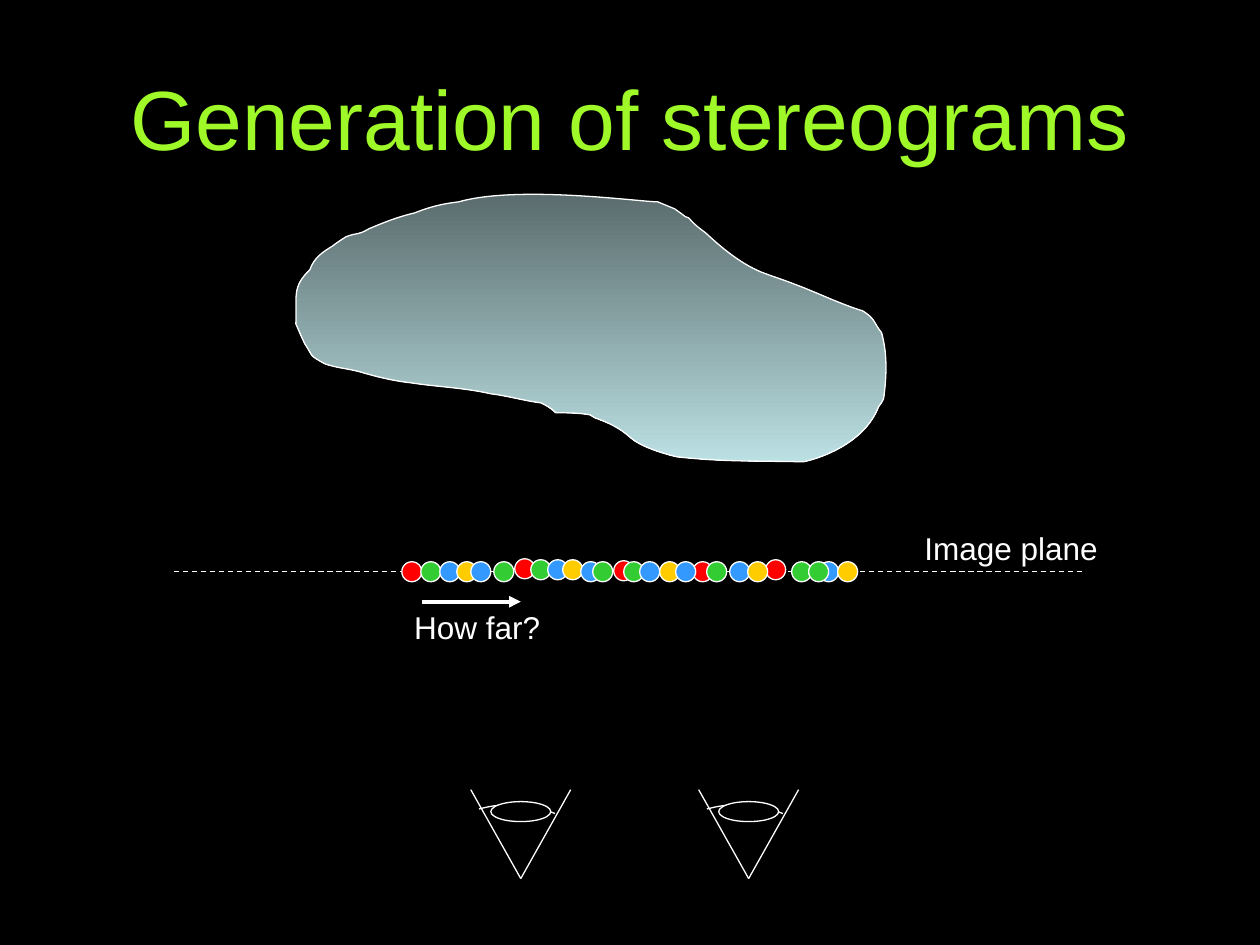
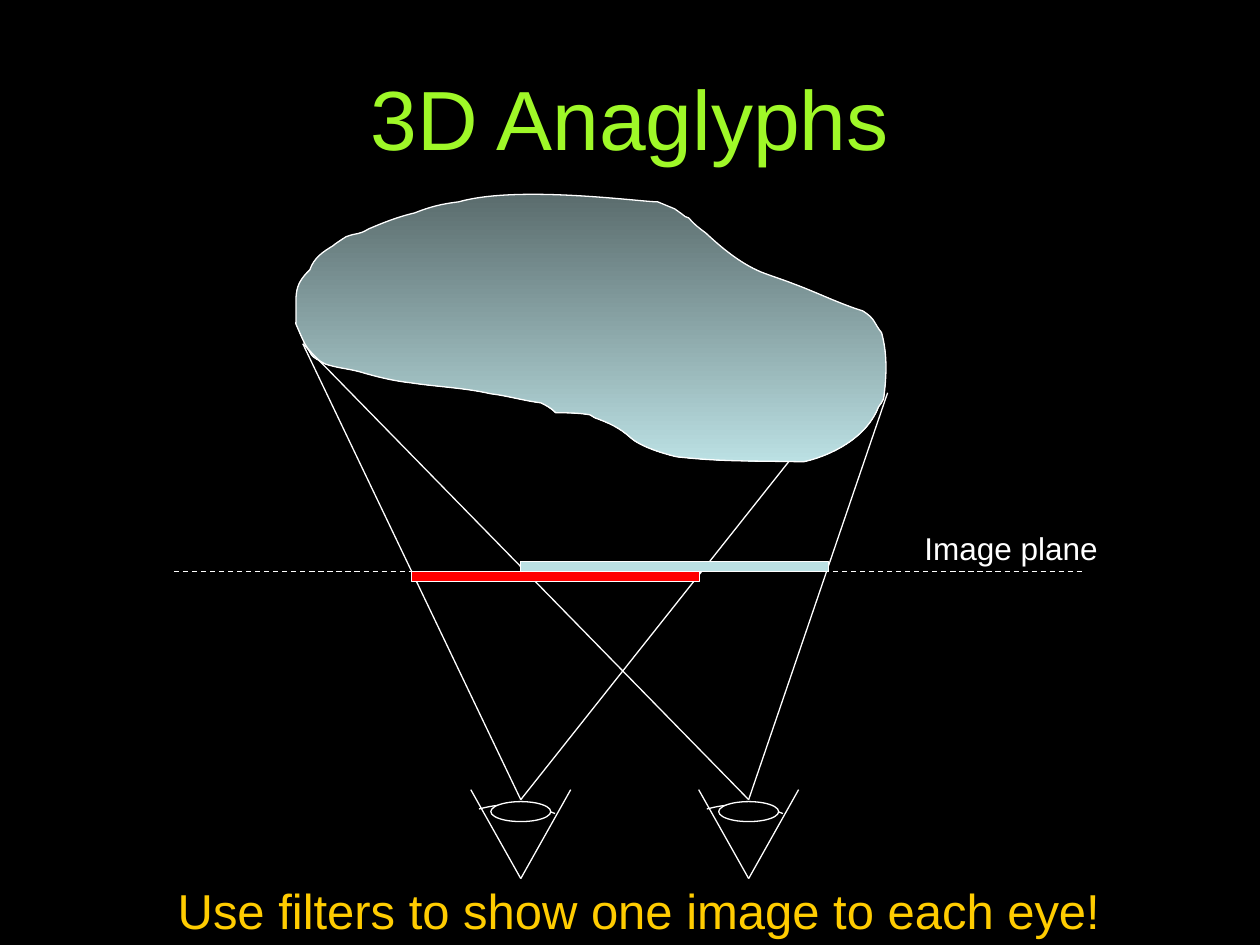
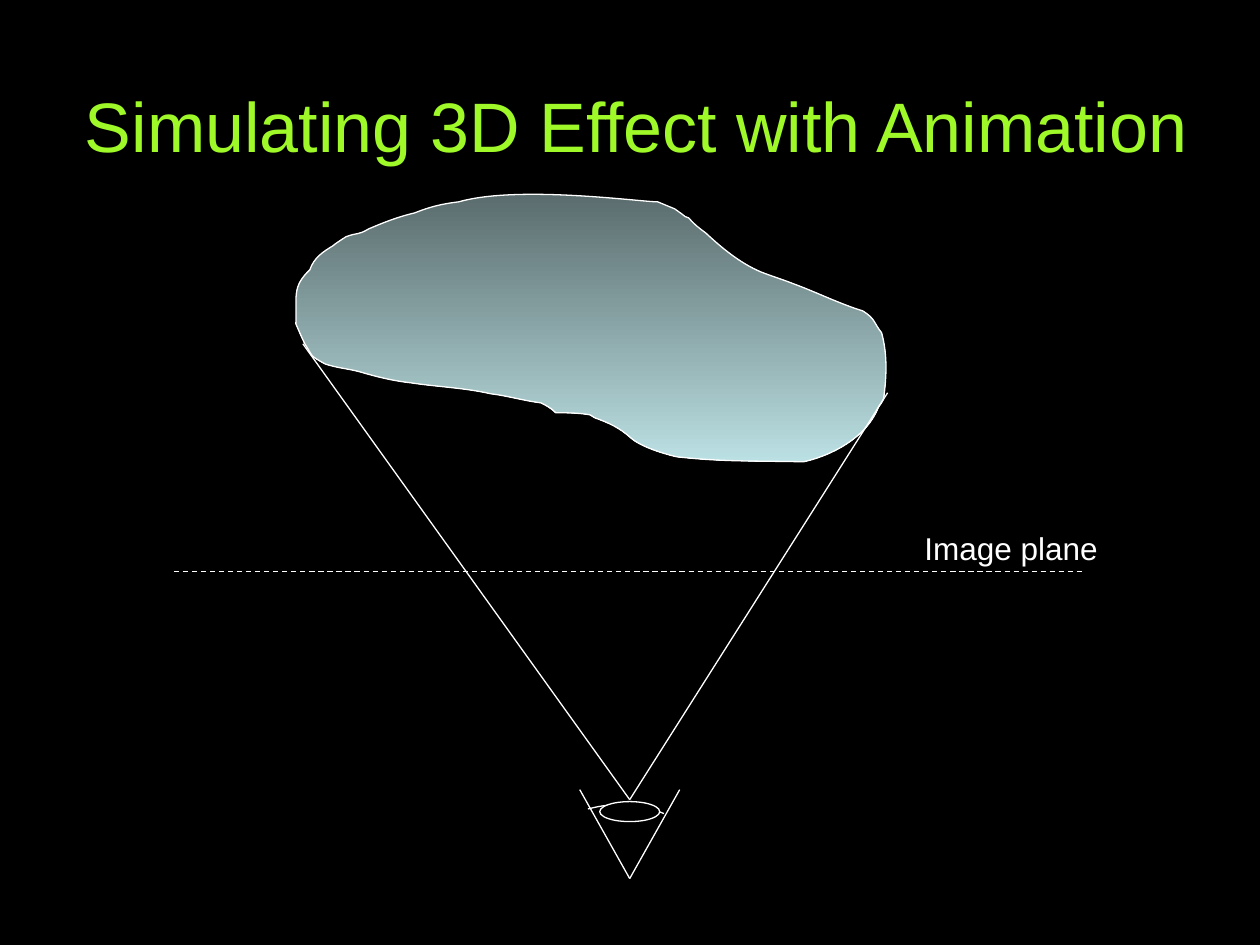
from copy import deepcopy

from lxml import etree
from pptx import Presentation
from pptx import util as u
from pptx.dml.color import RGBColor
from pptx.enum import dml, shapes, text
from pptx.oxml import ns

SCALE = 7254  # EMU per px
FONT = "Arial"
COLOURS = {
    "background": "000000",
    "title": "9FF828",
    "white": "FFFFFF",
    "red": "FF0000",
    "green": "33CC33",
    "blue": "3399FF",
    "gold": "FFCC00",
    "shade": "576869",
    "ice": "BBE0E3",
}

PLANE_Y = 572
EYE_TOP = 790
LEFT_EYE, MIDDLE_EYE, RIGHT_EYE = 521, 630, 749  # centres
OBJECT_LEFT_EDGE, OBJECT_RIGHT_EDGE, OBJECT_BOTTOM = (303, 344), (888, 393), (789, 462)

# Bezier chains: a start point, then two controls and an end point per curve.
OBJECT_OUTLINE = [
    (251, 213),
    (234, 211), (218, 206), (201, 204),
    (175, 198), (147, 197), (121, 193),
    (103, 191), (87, 187), (70, 182),
    (59, 179), (46, 178), (35, 174),
    (19, 165), (24, 168), (15, 154),
    (12, 148), (9, 141), (6, 134),
    (7, 106), (2, 97), (20, 80),
    (24, 68), (33, 62), (43, 56),
    (45, 54), (53, 49), (56, 47),
    (69, 42), (67, 46), (79, 39),
    (93, 33), (108, 27), (125, 23),
    (140, 17), (152, 14), (169, 12),
    (228, -5), (351, 12), (368, 12),
    (373, 14), (380, 17), (385, 19),
    (388, 20), (389, 23), (392, 24),
    (394, 27), (397, 27), (399, 28),
    (404, 34), (409, 38), (416, 43),
    (432, 58), (450, 73), (471, 82),
    (481, 86), (494, 90), (504, 94),
    (526, 102), (550, 114), (573, 121),
    (586, 129), (584, 133), (592, 143),
    (598, 165), (597, 187), (594, 209),
    (593, 212), (591, 214), (589, 217),
    (578, 246), (545, 265), (514, 272),
    (461, 271), (432, 272), (387, 267),
    (374, 264), (351, 257), (341, 248),
    (330, 238), (319, 233), (305, 228),
    (303, 227), (301, 225), (300, 225),
    (288, 223), (277, 223), (266, 223),
    (261, 218), (257, 216), (251, 213),
]
EYE_ARC = [(0, 0), (2, 0), (4, 0), (6, 0), (29, 0), (53, 8), (73, 22)]
EYE_CORNER = (5, 146)

# Colour, then (offset along the strip, lift above it) of each dot, back to front.
DOTS = [
    ("red", [(0, 0), (364, 2), (212, 1), (291, 0), (113, 3)]),
    ("green", [(222, 0), (305, 0), (390, 0), (19, 0), (129, 2)]),
    ("blue", [(38, 0), (146, 2), (238, 0), (328, 0), (417, 0)]),
    ("gold", [(55, 0), (161, 2), (258, 0), (346, 0), (436, 0)]),
    ("blue", [(69, 0), (179, 0), (274, 0)]),
    ("green", [(92, 0), (191, 0), (407, 0)]),
]


def px(*lengths):
    return [u.Emu(length * SCALE) for length in lengths]


def colour(name):
    return RGBColor.from_string(COLOURS[name])


def outline(shape, width=0.75):
    shape.line.color.rgb = colour("white")
    shape.line.width = u.Pt(width)


def add_line(parent, start, end, width=0.75):
    line = parent.shapes.add_connector(shapes.MSO_CONNECTOR.STRAIGHT, *px(*start, *end))
    outline(line, width)
    etree.SubElement(line._element.spPr, ns.qn("a:effectLst"))
    return line


def add_filled(parent, preset, box, fill):
    shape = parent.shapes.add_shape(preset, *px(*box))
    shape.shadow.inherit = False
    shape.fill.solid()
    shape.fill.fore_color.rgb = colour(fill)
    outline(shape)


def add_curve(parent, left, top, chain, corners=()):
    """Draw a closed outline: a Bezier chain, then straight lines to the corners."""
    points = [px(*point) for point in (*chain, *corners)]
    builder = parent.shapes.build_freeform(*points[0])
    builder.add_line_segments(points[1:], close=True)
    shape = builder.convert_to_shape(*px(left, top))
    shape.shadow.inherit = False
    outline(shape)
    segments = list(shape._element.iter(ns.qn("a:lnTo")))[:len(chain) - 1]
    for first in range(0, len(segments), 3):
        curve = etree.Element(ns.qn("a:cubicBezTo"))
        segments[first].addprevious(curve)
        for segment in segments[first:first + 3]:
            curve.append(segment[0])
            segment.getparent().remove(segment)
    return shape


def write(shape, words, size, fill, align, anchor, wrap=True):
    frame = shape.text_frame
    frame.auto_size = text.MSO_AUTO_SIZE.NONE
    frame.word_wrap = wrap
    frame.vertical_anchor = anchor
    paragraph = frame.paragraphs[0]
    paragraph.alignment = align
    run = paragraph.add_run()
    run.text = words
    run.font.name = FONT
    run.font.size = u.Pt(size)
    run.font.color.rgb = colour(fill)


def add_label(slide, box, words, size=18, fill="white", align=text.PP_ALIGN.CENTER,
              anchor=text.MSO_ANCHOR.TOP, wrap=True):
    write(slide.shapes.add_textbox(*px(*box)), words, size, fill, align, anchor, wrap)


def add_title(slide, words, box, size):
    title = slide.shapes.title
    title.left, title.top, title.width, title.height = px(*box)
    write(title, words, size, "title", text.PP_ALIGN.CENTER, text.MSO_ANCHOR.MIDDLE)


def add_object(slide, left, top):
    shape = add_curve(slide, left, top, OBJECT_OUTLINE)
    shape.fill.gradient()
    shape.fill.gradient_angle = 270
    for stop, name in zip(shape.fill.gradient_stops, ("shade", "ice")):
        stop.color.rgb = colour(name)


def add_image_plane(slide, left, y, width):
    line = add_line(slide, (left, y), (left + width, y))
    line.line.dash_style = dml.MSO_LINE.DASH
    add_label(slide, (left + 694, y - 49, 287, 50), "Image plane")


def add_eyelid(parent, left, top):
    """Add a tilted sector of which only the arc is stroked."""
    shape = add_curve(parent, left, top, EYE_ARC, [EYE_CORNER])
    shape.fill.background()
    shape.rotation = 346.7
    sector = next(shape._element.iter(ns.qn("a:path")))
    arc = deepcopy(sector)
    for tag in ("a:lnTo", "a:close"):
        for segment in arc.findall(ns.qn(tag)):
            arc.remove(segment)
    arc.set("fill", "none")
    sector.set("stroke", "0")
    sector.addprevious(arc)


def add_eye(slide, centre, top):
    group = slide.shapes.add_group_shape()
    left = centre - 50
    for side in (left, left + 100):
        add_line(group, (side, top), (centre, top + 89))
    add_eyelid(group, left + 24, top + 9)
    add_filled(group, shapes.MSO_SHAPE.OVAL, (left + 20, top + 12, 60, 20), "background")


def add_rays(slide, eye_centre, *targets):
    for target in targets:
        add_line(slide, (eye_centre, EYE_TOP + 10), target)


def add_dots(slide, left, top, size=20):
    for name, places in DOTS:
        for offset, lift in places:
            add_filled(slide, shapes.MSO_SHAPE.OVAL,
                       (left + offset, top - lift, size, size), name)


def add_distance_arrow(slide, left, y, width):
    arrow = add_line(slide, (left, y), (left + width, y), 2.25)
    etree.SubElement(arrow.line._get_or_add_ln(), ns.qn("a:tailEnd"), type="triangle")
    add_label(slide, (left - 20, y, 151, 50), "How far?",
              align=text.PP_ALIGN.LEFT, wrap=False)


def add_scene(presentation, title, eyes, title_box=(63, 9, 1134, 215), title_size=48):
    """Add a slide with the title, object, image plane and eyes."""
    slide = presentation.slides.add_slide(presentation.slide_layouts[5])
    add_title(slide, title, title_box, title_size)
    add_object(slide, 290, 190)
    add_image_plane(slide, 174, PLANE_Y, 912)
    for centre in eyes:
        add_eye(slide, centre, EYE_TOP)
    return slide


def add_stereogram_slide(presentation):
    slide = add_scene(presentation, "Generation of stereograms", (RIGHT_EYE, LEFT_EYE))
    add_dots(slide, 402, PLANE_Y - 10)
    add_distance_arrow(slide, 422, PLANE_Y + 30, 99)


def add_anaglyph_slide(presentation):
    slide = add_scene(presentation, "3D Anaglyphs", (RIGHT_EYE, LEFT_EYE))
    add_rays(slide, RIGHT_EYE, OBJECT_LEFT_EDGE, OBJECT_RIGHT_EDGE)
    add_rays(slide, LEFT_EYE, OBJECT_LEFT_EDGE, OBJECT_BOTTOM)
    rectangle = shapes.MSO_SHAPE.RECTANGLE
    add_filled(slide, rectangle, (521, PLANE_Y - 10, 308, 10), "ice")
    add_filled(slide, rectangle, (412, PLANE_Y, 288, 10), "red")
    add_label(slide, (72, 831, 1134, 158), "Use filters to show one image to each eye!",
              size=28, fill="gold", anchor=text.MSO_ANCHOR.MIDDLE)


def add_animation_slide(presentation):
    slide = add_scene(presentation, "Simulating 3D Effect with Animation", (MIDDLE_EYE,),
                      title_box=(38, 46, 1197, 158), title_size=40)
    add_rays(slide, MIDDLE_EYE, OBJECT_LEFT_EDGE, OBJECT_RIGHT_EDGE)


def main():
    presentation = Presentation()
    presentation.slide_width, presentation.slide_height = u.Inches(10), u.Inches(7.5)
    background = presentation.slide_master.background.fill
    background.solid()
    background.fore_color.rgb = colour("background")
    add_stereogram_slide(presentation)
    add_anaglyph_slide(presentation)
    add_animation_slide(presentation)
    presentation.save("out.pptx")


if __name__ == "__main__":
    main()
